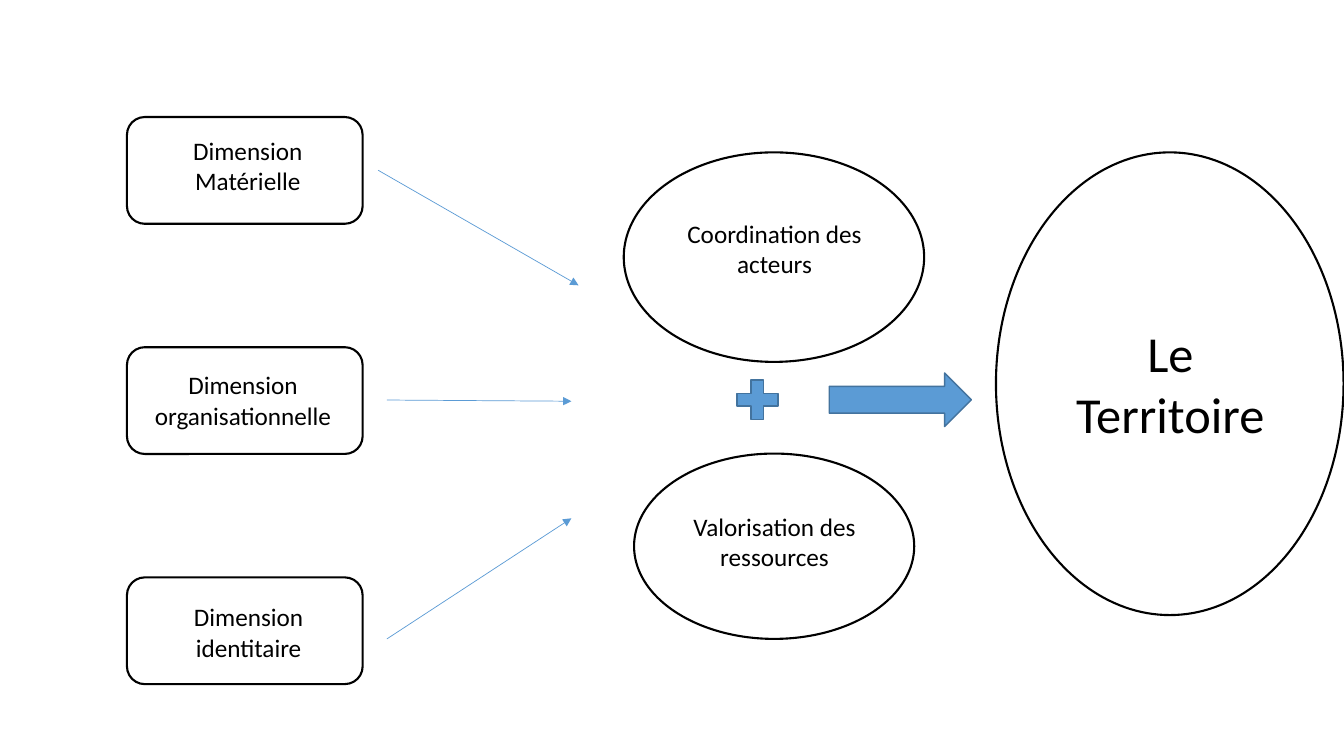
"""Build a slide showing how three dimensions lead to the territory."""
import pptx
import pptx.util
import pptx.dml.color
import pptx.enum.shapes
import pptx.enum.text
import pptx.oxml
import pptx.oxml.ns

Cm = pptx.util.Cm
Pt = pptx.util.Pt
SHAPES = pptx.enum.shapes.MSO_SHAPE
COLOURS = {
    name: pptx.dml.color.RGBColor.from_string(value)
    for name, value in {
        "white": "FFFFFF", "black": "000000", "blue": "5B9BD5", "dark blue": "43739E",
    }.items()
}

presentation = pptx.Presentation()
presentation.slide_width = Cm(33.87)
presentation.slide_height = Cm(19.05)
slide = presentation.slides.add_slide(presentation.slide_layouts[6])


def add_figure(kind, left, top, width, height, fill, outline, weight):
    shape = slide.shapes.add_shape(kind, Cm(left), Cm(top), Cm(width), Cm(height))
    shape.shadow.inherit = False
    shape.fill.solid()
    shape.fill.fore_color.rgb = COLOURS[fill]
    shape.line.color.rgb = COLOURS[outline]
    shape.line.width = Pt(weight)


for row in range(3):
    add_figure(SHAPES.ROUNDED_RECTANGLE, 3.2, 2.95 + 5.8 * row, 5.94, 2.69,
               "white", "black", 1.5)

dimension_arrows = [
    (9.53, 4.29, 14.58, 7.19),
    (9.75, 10.08, 14.4, 10.11),
    (9.75, 16.1, 14.4, 13.06),
]
for ends in dimension_arrows:
    connector = slide.shapes.add_connector(
        pptx.enum.shapes.MSO_CONNECTOR.STRAIGHT, *[Cm(value) for value in ends])
    connector.line.color.rgb = COLOURS["blue"]
    connector.line.width = Pt(0.5)
    line = connector.line._get_or_add_ln()
    line.append(pptx.oxml.parse_xml(
        f'<a:tailEnd {pptx.oxml.ns.nsdecls("a")} type="triangle"/>'))
    line.addnext(pptx.oxml.parse_xml(f'<a:effectLst {pptx.oxml.ns.nsdecls("a")}/>'))

ellipses = [
    (15.72, 3.84, 7.57, 5.28),
    (15.98, 11.43, 7.06, 4.67),
    (25.1, 3.84, 8.76, 11.66),
]
for bounds in ellipses:
    add_figure(SHAPES.OVAL, *bounds, "white", "black", 1.5)

add_figure(SHAPES.MATH_PLUS, 18.39, 9.4, 1.4, 1.35, "blue", "dark blue", 1)
add_figure(SHAPES.RIGHT_ARROW, 20.9, 9.4, 3.58, 1.35, "blue", "dark blue", 1)

labels = [
    ("Dimension Matérielle", 3.35, 3.28, 5.79, 1.8, 18),
    ("Dimension organisationnelle", 3.61, 9.19, 5.03, 1.8, 18),
    ("Dimension identitaire", 3.66, 15.04, 5.21, 1.8, 18),
    ("Coordination des acteurs", 16.89, 5.38, 5.26, 1.8, 18),
    ("Valorisation des ressources", 16.89, 12.75, 5.26, 1.8, 18),
    ("Le Territoire", 26.7, 8, 5.59, 3.33, 36),
]
for text, left, top, width, height, size in labels:
    label = slide.shapes.add_textbox(Cm(left), Cm(top), Cm(width), Cm(height))
    label.text_frame.word_wrap = True
    label.text_frame.auto_size = pptx.enum.text.MSO_AUTO_SIZE.SHAPE_TO_FIT_TEXT
    paragraph = label.text_frame.paragraphs[0]
    paragraph.text = text
    paragraph.alignment = pptx.enum.text.PP_ALIGN.CENTER
    paragraph.font.name = "Calibri"
    paragraph.font.size = Pt(size)
    paragraph.font.color.rgb = COLOURS["black"]

presentation.save("out.pptx")
